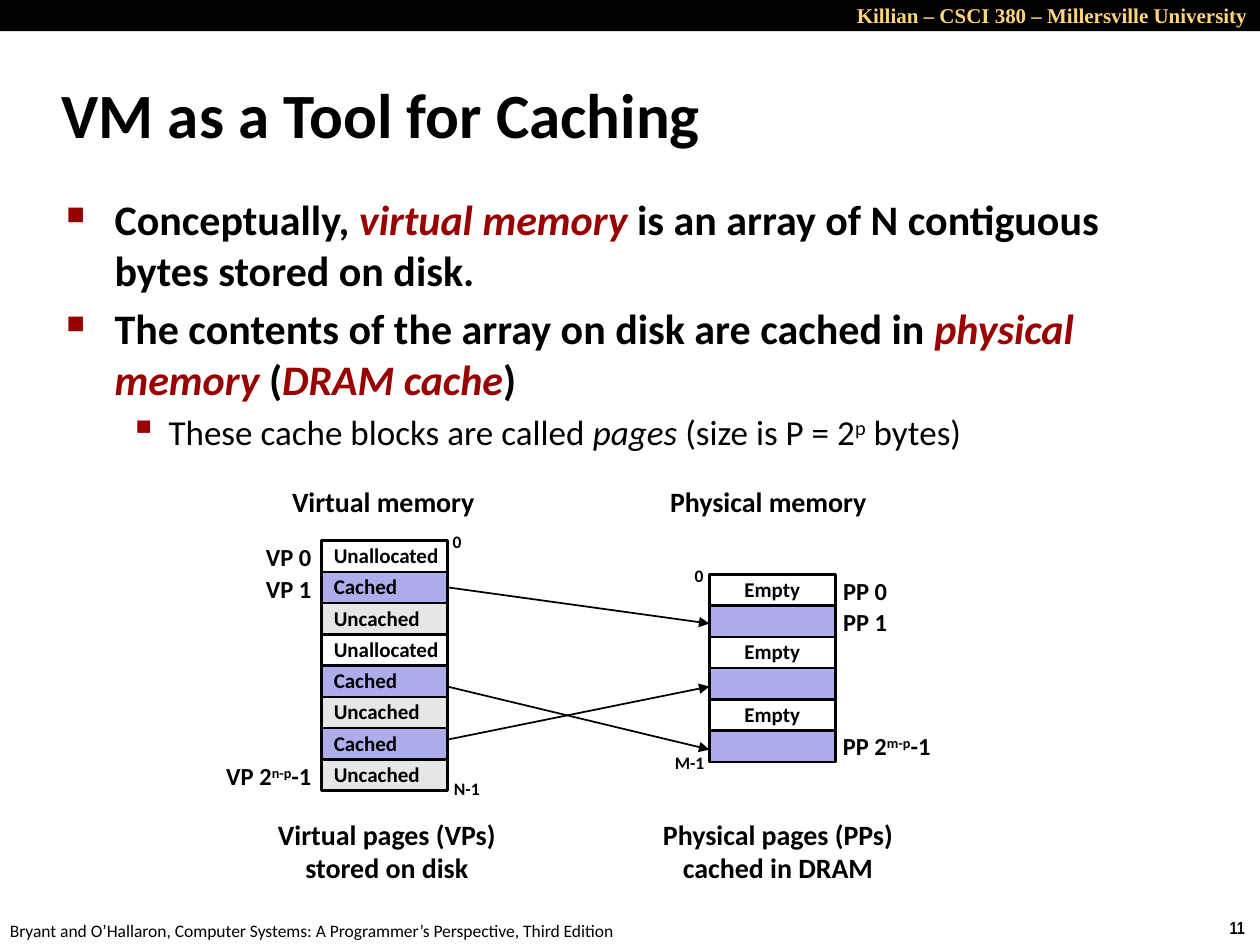
from dataclasses import dataclass, field

import lxml.etree
import pptx
import pptx.dml.color
import pptx.enum.shapes
import pptx.enum.text
import pptx.oxml.ns
import pptx.util

Cm = pptx.util.Cm
Pt = pptx.util.Pt
RGBColor = pptx.dml.color.RGBColor
Align = pptx.enum.text.PP_ALIGN
Anchor = pptx.enum.text.MSO_ANCHOR
AutoSize = pptx.enum.text.MSO_AUTO_SIZE

BLACK = RGBColor(0x00, 0x00, 0x00)
WHITE = RGBColor(0xFF, 0xFF, 0xFF)
GOLD = RGBColor(0xFF, 0xD5, 0x79)
CRIMSON = RGBColor(0x99, 0x00, 0x00)
LAVENDER = RGBColor(0xAD, 0xAD, 0xEB)
GREY = RGBColor(0xE6, 0xE6, 0xE6)

ROW_HEIGHT = 0.63
PAGE_WIDTH = 2.54
VIRTUAL_LEFT, VIRTUAL_TOP = 6.48, 10.9
PHYSICAL_LEFT, PHYSICAL_TOP = 14.3, 11.58
PAGE_FILLS = {"Unallocated": WHITE, "Empty": WHITE, "Cached": LAVENDER, "Uncached": GREY, "": LAVENDER}
VIRTUAL_PAGES = ["Unallocated", "Cached", "Uncached", "Unallocated", "Cached", "Uncached", "Cached", "Uncached"]
PHYSICAL_PAGES = ["Empty", "", "Empty", "", "Empty", ""]
ARROW_HEIGHTS = [(11.84, 12.57), (13.84, 15.11), (14.91, 13.84)]


@dataclass
class Span:
    text: str
    color: RGBColor = BLACK
    italic: bool = False
    raised: bool = False


@dataclass
class Line:
    spans: list[Span]
    font: dict
    format: dict = field(default_factory=dict)
    indent: tuple[float, float] | None = None
    bullet: tuple[str, int] | None = None


@dataclass
class Label:
    left: float
    top: float
    width: float
    height: float
    lines: list[Line]
    frame: dict = field(default_factory=dict)


def set_all(target, values: dict) -> None:
    for name, value in values.items():
        setattr(target, name, value)


def font(size: float, bold: bool = True, name: str = "Calibri") -> dict:
    return {"name": name, "size": Pt(size), "bold": bold}


def add_element(parent, tag: str, **values: str):
    element = lxml.etree.SubElement(parent, pptx.oxml.ns.qn(tag))
    for name, value in values.items():
        element.set(name, value)
    return element


def write_lines(frame, lines: list[Line]) -> None:
    for index, line in enumerate(lines):
        para = frame.add_paragraph() if index else frame.paragraphs[0]
        set_all(para, line.format)
        properties = para._p.get_or_add_pPr()
        if line.indent:
            margin, hanging = line.indent
            properties.set("marL", str(int(Cm(margin))))
            properties.set("indent", str(int(Cm(-hanging))))
        if line.bullet:
            symbol, percent = line.bullet
            color = add_element(properties, "a:buClr")
            add_element(color, "a:srgbClr", val=str(CRIMSON))
            add_element(properties, "a:buSzPct", val=str(percent * 1000))
            add_element(properties, "a:buChar", char=symbol)
        for span in line.spans:
            run = para.add_run()
            run.text = span.text
            set_all(run.font, line.font | {"italic": span.italic})
            run.font.color.rgb = span.color
            if span.raised:
                run._r.get_or_add_rPr().set("baseline", "30000")


def draw_label(page, label: Label) -> None:
    box = page.shapes.add_textbox(Cm(label.left), Cm(label.top), Cm(label.width), Cm(label.height))
    set_all(box.text_frame, {"word_wrap": False, "auto_size": AutoSize.SHAPE_TO_FIT_TEXT} | label.frame)
    write_lines(box.text_frame, label.lines)


def draw_rectangle(page, left: float, top: float, width: float, height: float, fill: RGBColor):
    shape = page.shapes.add_shape(
        pptx.enum.shapes.MSO_SHAPE.RECTANGLE, Cm(left), Cm(top), Cm(width), Cm(height))
    shape.shadow.inherit = False
    shape.fill.solid()
    shape.fill.fore_color.rgb = fill
    shape.line.fill.background()
    return shape


def draw_pages(page, left: float, top: float, names: list[str], alignment) -> None:
    for row, name in enumerate(names):
        shape = draw_rectangle(page, left, top + row * ROW_HEIGHT, PAGE_WIDTH, ROW_HEIGHT, PAGE_FILLS[name])
        shape.line.color.rgb = BLACK
        shape.line.width = Pt(1.5)
        if name:
            set_all(shape.text_frame, {"word_wrap": False, "vertical_anchor": Anchor.MIDDLE})
            line = Line([Span(name)], font(12), {"alignment": alignment, "line_spacing": 0.98})
            write_lines(shape.text_frame, [line])


def draw_arrow(page, start: float, end: float) -> None:
    arrow = page.shapes.add_connector(
        pptx.enum.shapes.MSO_CONNECTOR.STRAIGHT,
        Cm(VIRTUAL_LEFT + PAGE_WIDTH), Cm(start), Cm(PHYSICAL_LEFT), Cm(end))
    arrow.line.color.rgb = BLACK
    arrow.line.width = Pt(1)
    add_element(arrow.line._get_or_add_ln(), "a:tailEnd", type="triangle")
    add_element(arrow._element.spPr, "a:effectLst")


def diagram_label(left: float, top: float, width: float, height: float, size: float,
                  *rows: list[Span], alignment=Align.CENTER, spacing: float = 0.98) -> Label:
    style = {"alignment": alignment, "line_spacing": spacing}
    return Label(left, top, width, height, [Line(spans, font(size), style) for spans in rows],
                 {"vertical_anchor": Anchor.MIDDLE})


def last_page(prefix: str, exponent: str) -> list[Span]:
    return [Span(prefix), Span(exponent, raised=True), Span("-1")]


TOP_BULLET = {"font": font(24), "indent": (0.97, 0.97), "bullet": ("■", 60)}
BODY_LINES = [
    Line([Span("Conceptually,"), Span(" virtual memory ", CRIMSON, True),
          Span("is an array of N contiguous bytes stored on disk.")], **TOP_BULLET),
    Line([Span("The contents of the array on disk are cached in "), Span("physical memory", CRIMSON, True),
          Span(" ("), Span("DRAM cache", CRIMSON, True), Span(")")],
         format={"space_before": Pt(4.8)}, **TOP_BULLET),
    Line([Span("These cache blocks are called "), Span("pages ", italic=True), Span("(size is P = 2"),
          Span("p", raised=True), Span(" bytes)")],
         font(20, False), {"space_before": Pt(4), "level": 1}, (2.06, 0.79), ("▪", 110)),
]
FIXED = {"word_wrap": True, "auto_size": AutoSize.NONE}
TEXT_LABELS = [
    Label(24.54, 18.36, 0.86, 0.69, [Line([Span("11")], font(10, name="Arial Narrow"))]),
    Label(-0.05, 18.42, 12.9, 0.69, [Line(
        [Span("Bryant and O’Hallaron, Computer Systems: A Programmer’s Perspective, Third Edition")],
        font(10, False))]),
    Label(16.99, -0.08, 8.41, 0.76, [Line(
        [Span("Killian – CSCI 380 – Millersville University", GOLD)],
        font(12, name="Times New Roman"), {"alignment": Align.RIGHT})], {"word_wrap": True}),
    Label(0.99, 1.22, 21.08, 2.11, [Line([Span("VM as a Tool for Caching")], font(36), indent=(0.33, 0.33))],
          FIXED | {"vertical_anchor": Anchor.MIDDLE}),
    Label(1.09, 3.78, 21.95, 5.74, BODY_LINES, FIXED),
]
DIAGRAM_LABELS = [
    diagram_label(5.61, 9.73, 4.24, 0.84, 16, [Span("Virtual memory")], spacing=0.88),
    diagram_label(13.23, 9.73, 4.52, 0.84, 16, [Span("Physical memory")], spacing=0.88),
    diagram_label(5.11, 10.87, 1.42, 0.79, 14, [Span("VP 0")], alignment=Align.RIGHT, spacing=0.88),
    diagram_label(5.11, 11.51, 1.42, 0.79, 14, [Span("VP 1")], alignment=Align.RIGHT, spacing=0.88),
    diagram_label(4.24, 15.29, 2.29, 0.79, 14, last_page("VP 2", "n-p"), alignment=Align.RIGHT, spacing=0.88),
    diagram_label(16.74, 11.51, 1.4, 0.84, 14, [Span("PP 0")]),
    diagram_label(16.74, 12.14, 1.4, 0.84, 14, [Span("PP 1")]),
    diagram_label(16.74, 14.68, 2.36, 0.79, 14, last_page("PP 2", "m-p"), alignment=Align.LEFT, spacing=0.88),
    diagram_label(8.86, 10.59, 0.71, 0.69, 10, [Span("0")]),
    diagram_label(8.89, 15.57, 1.04, 0.69, 10, [Span("N-1")]),
    diagram_label(13.74, 11.28, 0.71, 0.69, 10, [Span("0")]),
    diagram_label(13.34, 15.04, 1.12, 0.69, 10, [Span("M-1")]),
    diagram_label(5.31, 16.38, 4.98, 1.6, 16, [Span("Virtual pages (VPs)")], [Span("stored on disk")]),
    diagram_label(13.08, 16.38, 5.21, 1.6, 16, [Span("Physical pages (PPs)")], [Span("cached in DRAM")]),
]


def main() -> None:
    deck = pptx.Presentation()
    set_all(deck, {"slide_width": Cm(25.4), "slide_height": Cm(19.05)})
    page = deck.slides.add_slide(deck.slide_layouts[6])
    draw_rectangle(page, 0, 0, 25.4, 0.63, BLACK)
    draw_pages(page, VIRTUAL_LEFT, VIRTUAL_TOP, VIRTUAL_PAGES, Align.LEFT)
    draw_pages(page, PHYSICAL_LEFT, PHYSICAL_TOP, PHYSICAL_PAGES, Align.CENTER)
    for start, end in ARROW_HEIGHTS:
        draw_arrow(page, start, end)
    for label in TEXT_LABELS + DIAGRAM_LABELS:
        draw_label(page, label)
    deck.save("out.pptx")


if __name__ == "__main__":
    main()
